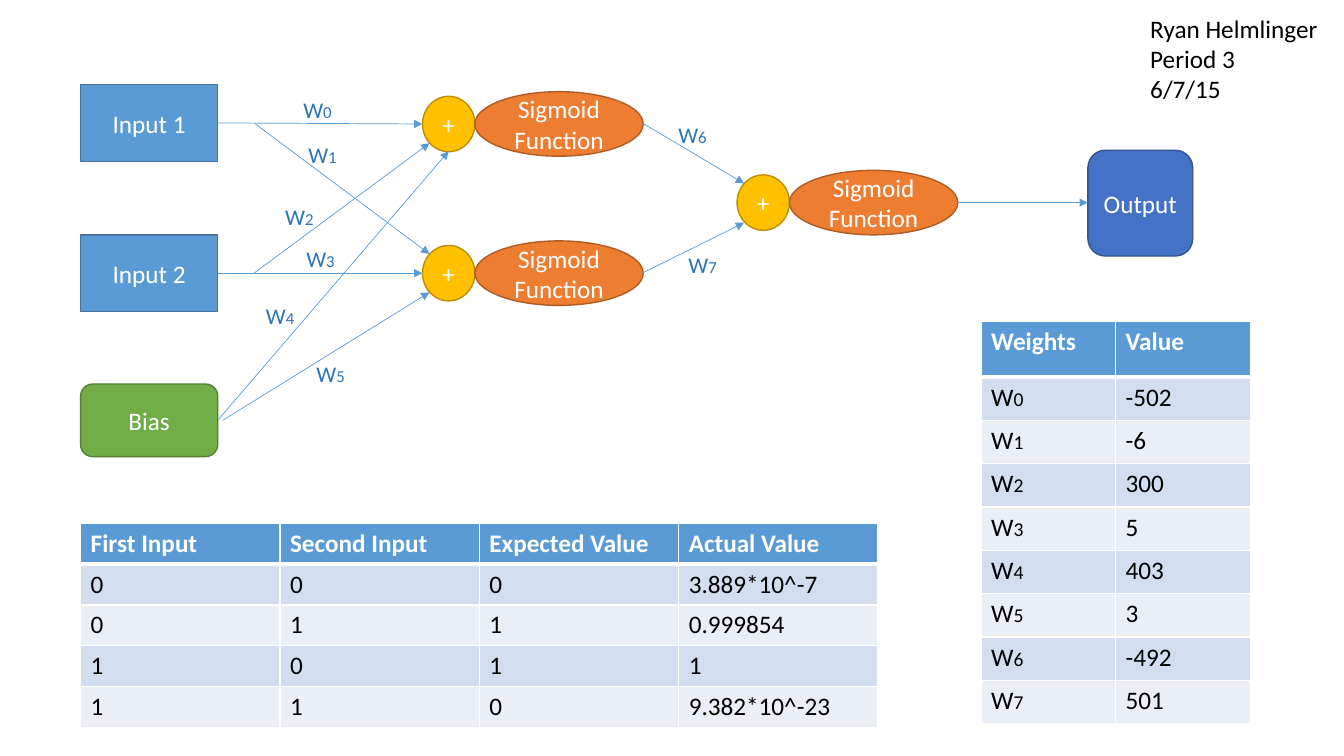
from lxml.etree import SubElement
from pptx import Presentation
from pptx.dml.color import RGBColor
from pptx.enum.shapes import MSO_CONNECTOR as CONN, MSO_SHAPE as SHAPE
from pptx.enum.text import MSO_ANCHOR as ANCHOR, MSO_AUTO_SIZE as AUTO, PP_ALIGN as ALIGN
from pptx.oxml import parse_xml
from pptx.oxml.ns import nsdecls, qn
from pptx.util import Inches, Pt

BLUE, WHITE, BLACK, LABEL = "5B9BD5", "FFFFFF", "000000", "2E75B6"
BANDS = ("D2DEEF", "EAEFF7")


def rgb(value):
    return RGBColor.from_string(value)


def weight(number, big, small):
    return [("W", big), (str(number), small)]


class Deck:
    font = "Calibri"
    size = 18

    def __init__(self):
        self.prs = Presentation()
        self.prs.slide_width, self.prs.slide_height = Inches(13.33), Inches(7.5)
        self.s = self.prs.slides.add_slide(self.prs.slide_layouts[6])

    def add_runs(self, p, runs, color, bold=False):
        if isinstance(runs, str):
            runs = [(runs, self.size)]
        for text, size in runs:
            r = p.add_run()
            r.text = text
            r.font.color.rgb = rgb(color)
            for name, value in {"name": self.font, "size": Pt(size), "bold": bold}.items():
                setattr(r.font, name, value)

    def shape(self, kind, x, y, w, h, text, fill, line):
        sp = self.s.shapes.add_shape(kind, *map(Inches, (x, y, w, h)))
        sp.shadow.inherit = False
        sp.fill.solid()
        sp.fill.fore_color.rgb = rgb(fill)
        sp.line.color.rgb = rgb(line)
        sp.line.width = Pt(1)
        tf = sp.text_frame
        for name, value in {"word_wrap": True, "vertical_anchor": ANCHOR.MIDDLE}.items():
            setattr(tf, name, value)
        p = tf.paragraphs[0]
        p.alignment = ALIGN.CENTER
        self.add_runs(p, text, WHITE)

    def neuron(self, x, cy):
        self.shape(SHAPE.OVAL, x, cy - 0.275, 0.52, 0.55, "+", "FFC000", "BD8E00")
        self.shape(SHAPE.OVAL, x + 0.52, cy - 0.32, 1.67, 0.64,
                   "Sigmoid Function", "ED7D31", "AF5C24")

    def arrow(self, x1, y1, x2, y2):
        cn = self.s.shapes.add_connector(CONN.STRAIGHT, *map(Inches, (x1, y1, x2, y2)))
        cn.line.color.rgb = rgb(BLUE)
        cn.line.width = Pt(0.5)
        spPr = cn._element.spPr
        SubElement(spPr.find(qn("a:ln")), qn("a:tailEnd"), type="triangle")
        SubElement(spPr, qn("a:effectLst"))

    def text(self, x, y, w, h, lines, color):
        tf = self.s.shapes.add_textbox(*map(Inches, (x, y, w, h))).text_frame
        for name, value in {"word_wrap": True, "auto_size": AUTO.SHAPE_TO_FIT_TEXT}.items():
            setattr(tf, name, value)
        for i, line in enumerate(lines):
            p = tf.add_paragraph() if i else tf.paragraphs[0]
            self.add_runs(p, line, color)

    def cell(self, cell, runs, head, fill):
        cell.fill.solid()
        cell.fill.fore_color.rgb = rgb(fill)
        self.add_runs(cell.text_frame.paragraphs[0], runs, WHITE if head else BLACK, head)
        tcPr = cell._tc.get_or_add_tcPr()
        for i, side in enumerate("LRTB"):
            width = Pt(3 if head and side == "B" else 1)
            tcPr.insert(i, parse_xml(
                f'<a:ln{side} {nsdecls("a")} w="{width}"><a:solidFill>'
                f'<a:srgbClr val="{WHITE}"/></a:solidFill></a:ln{side}>'))

    def table(self, x, y, w, head_h, row_h, rows):
        h = head_h + row_h * (len(rows) - 1)
        tb = self.s.shapes.add_table(len(rows), len(rows[0]), *map(Inches, (x, y, w, h))).table
        tb.horz_banding = False
        for i, row in enumerate(rows):
            tb.rows[i].height = Inches(row_h if i else head_h)
            fill = BANDS[(i - 1) % 2] if i else BLUE
            for j, runs in enumerate(row):
                self.cell(tb.cell(i, j), runs, i == 0, fill)


def main():
    d = Deck()

    d.table(0.8, 5.19, 7.91, 0.4, 0.4, [
        ("First Input", "Second Input", "Expected Value", "Actual Value"),
        ("0", "0", "0", "3.889*10^-7"),
        ("0", "1", "1", "0.999854"),
        ("1", "0", "1", "1"),
        ("1", "1", "0", "9.382*10^-23"),
    ])
    values = ("-502", "-6", "300", "5", "403", "3", "-492", "501")
    d.table(9.73, 3.19, 2.67, 0.55, 0.43, [("Weights", "Value")] + [
        (weight(i, 18, 14), value) for i, value in enumerate(values)])

    for i, y in enumerate((0.84, 2.33), 1):
        d.shape(SHAPE.RECTANGLE, 0.8, y, 1.36, 0.76, f"Input {i}", BLUE, "43739E")
    d.shape(SHAPE.ROUNDED_RECTANGLE, 0.8, 3.81, 1.36, 0.72, "Bias", "70AD47", "538035")
    for x, cy in ((4.19, 1.23), (4.19, 2.71), (7.31, 2.01)):
        d.neuron(x, cy)
    d.shape(SHAPE.ROUNDED_RECTANGLE, 10.79, 1.49, 1.04, 1.05, "Output", "4472C4", "325491")

    for ends in (
        (2.16, 1.22, 4.19, 1.23), (2.16, 2.71, 4.19, 2.71),
        (2.52, 2.71, 4.26, 1.42), (2.52, 1.22, 4.26, 2.52),
        (2.16, 4.17, 4.45, 1.5), (2.21, 4.17, 4.26, 2.9),
        (6.37, 1.22, 7.38, 1.82), (6.37, 2.71, 7.38, 2.21),
        (9.49, 2.01, 10.79, 2.01),
    ):
        d.arrow(*ends)

    spots = ((2.91, 0.9), (2.96, 1.35), (2.73, 1.97), (2.94, 2.38),
             (2.54, 2.95), (3.04, 3.52), (6.63, 1.15), (6.73, 2.44))
    for i, (x, y) in enumerate(spots):
        d.text(x, y, 0.53, 0.37, [weight(i, 16, 12)], LABEL)
    d.text(11.31, 0.08, 1.95, 1.01, ["Ryan Helmlinger", "Period 3", "6/7/15"], BLACK)

    d.prs.save("out.pptx")


if __name__ == "__main__":
    main()
